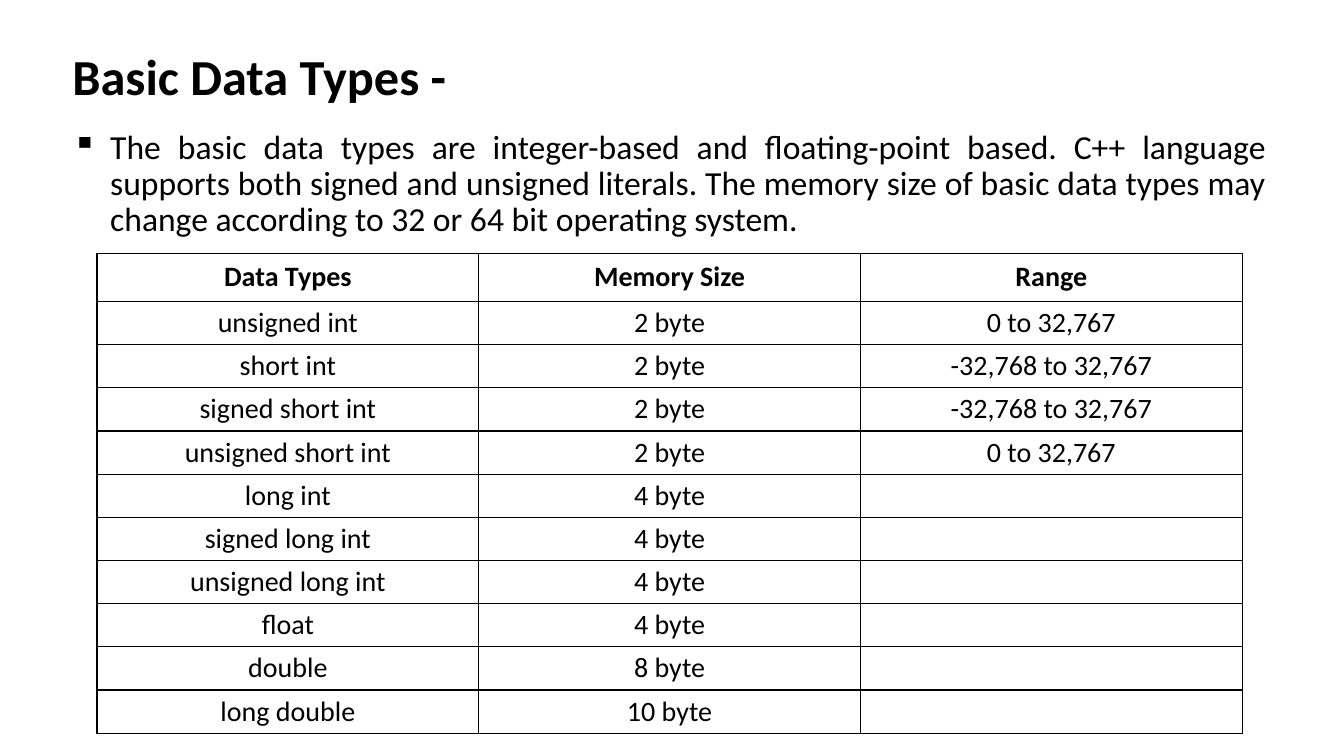
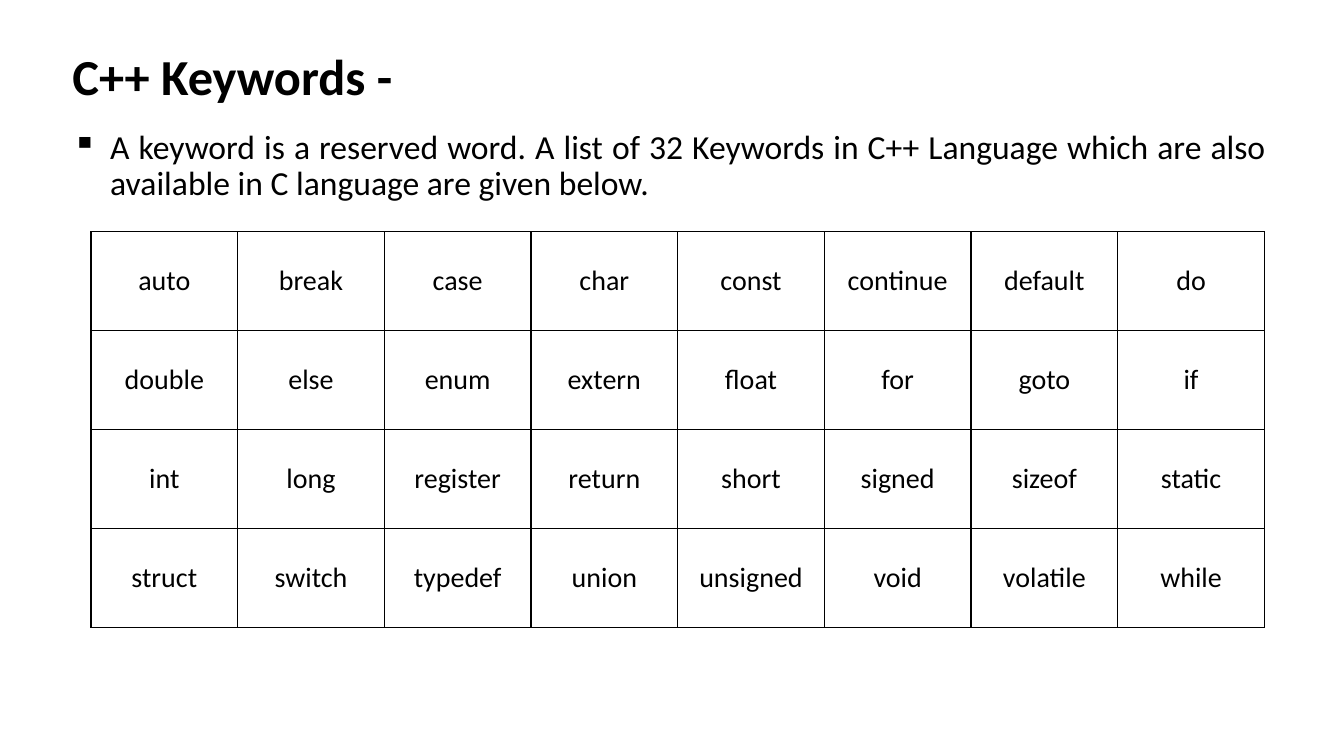
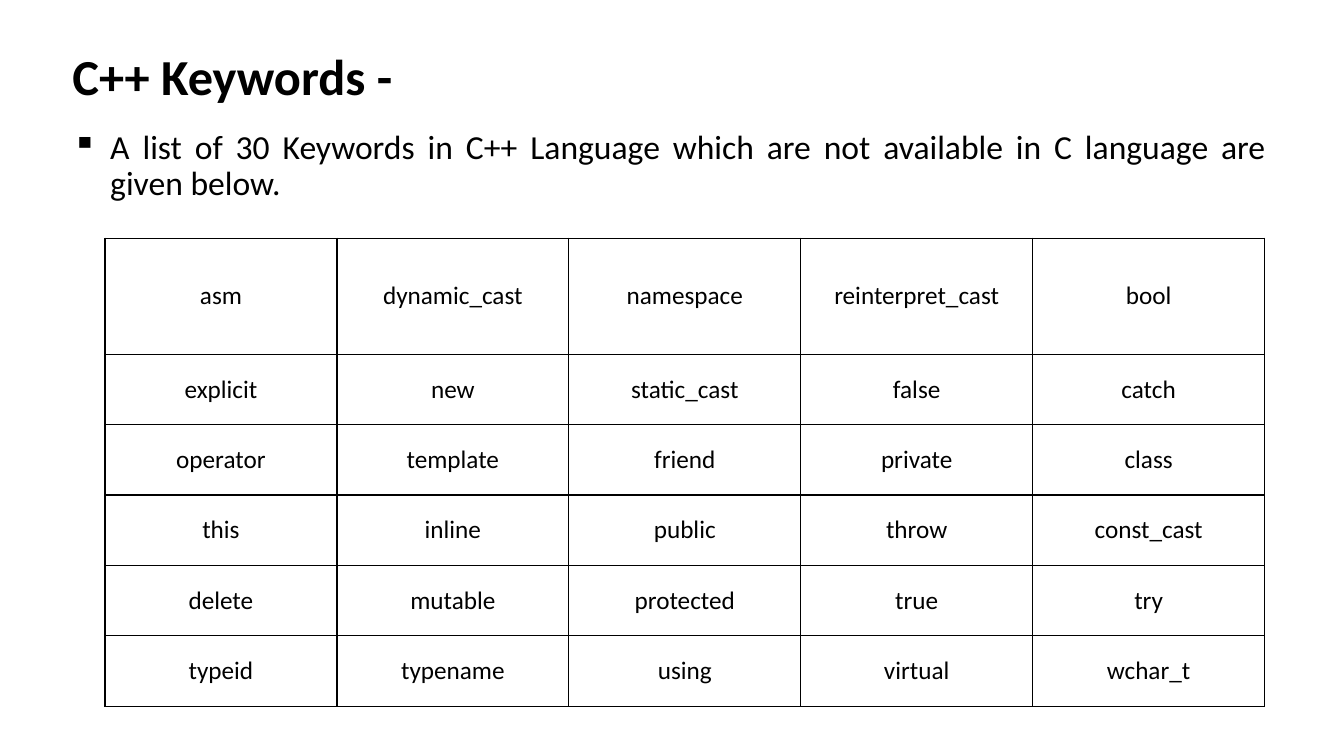
"""Build three slides on C++ data types and keywords."""
from dataclasses import dataclass
from typing import Any

from lxml.etree import SubElement
from pptx import Presentation
from pptx.dml.color import RGBColor
from pptx.enum.text import MSO_ANCHOR, PP_ALIGN
from pptx.oxml.ns import qn
from pptx.util import Pt

TOP, MIDDLE, BOTTOM = MSO_ANCHOR.TOP, MSO_ANCHOR.MIDDLE, MSO_ANCHOR.BOTTOM
LEFT, CENTER, JUSTIFY = PP_ALIGN.LEFT, PP_ALIGN.CENTER, PP_ALIGN.JUSTIFY

COLORS = {"ink": "000000", "page": "FFFFFF"}
FACE = "Calibri"
EDGE, SPAN = 44.64, 866.88
INDENT = 27
SIDES = ("left", "right", "top", "bottom")
TITLE = {"size": Pt(36), "bold": True}
BODY = {"size": Pt(24), "bold": False}
TIGHT = {"line_spacing": 0.9}


@dataclass(frozen=True)
class Grid:
    """Hold the place, row heights, style and words of a table."""
    left: float
    top: float
    width: float
    head: float
    row: float
    size: int
    inset: float
    cells: list[list[str]]
    bold: bool = False


@dataclass(frozen=True)
class Page:
    """Hold the words and table of one slide."""
    title: str
    text: str
    grid: Grid


TYPES = [
    ["Data Types", "Memory Size", "Range"],
    ["unsigned int", "2 byte", "0 to 32,767"],
    ["short int", "2 byte", "-32,768 to 32,767"],
    ["signed short int", "2 byte", "-32,768 to 32,767"],
    ["unsigned short int", "2 byte", "0 to 32,767"],
    ["long int", "4 byte", ""],
    ["signed long int", "4 byte", ""],
    ["unsigned long int", "4 byte", ""],
    ["float", "4 byte", ""],
    ["double", "8 byte", ""],
    ["long double", "10 byte", ""],
]
SHARED = [line.split() for line in (
    "auto break case char const continue default do",
    "double else enum extern float for goto if",
    "int long register return short signed sizeof static",
    "struct switch typedef union unsigned void volatile while",
)]
ADDED = [line.split() for line in (
    "asm dynamic_cast namespace reinterpret_cast bool",
    "explicit new static_cast false catch",
    "operator template friend private class",
    "this inline public throw const_cast",
    "delete mutable protected true try",
    "typeid typename using virtual wchar_t",
)]
PAGES = [
    Page("Basic Data Types -",
         "The basic data types are integer-based and floating-point based. "
         "C++ language supports both signed and unsigned literals. The memory "
         "size of basic data types may change according to 32 or 64 bit "
         "operating system.",
         Grid(69.3, 181, 818, 34.3, 30.86, 20, 3, TYPES, True)),
    Page("C++ Keywords -",
         "A keyword is a reserved word. A list of 32 Keywords in C++ Language "
         "which are also available in C language are given below.",
         Grid(65, 165.6, 838.2, 70.75, 70.75, 20, 5.76, SHARED)),
    Page("C++ Keywords -",
         "A list of 30 Keywords in C++ Language which are not available in C "
         "language are given below.",
         Grid(75, 170.2, 828.4, 82.8, 50.3, 18, 5.76, ADDED)),
]


def apply(item: Any, values: dict[str, Any]) -> None:
    """Set each named value on an object."""
    for name, value in values.items():
        setattr(item, name, value)


def write(para: Any, text: str, font: dict[str, Any], form: dict[str, Any]) -> None:
    """Fill a paragraph with styled text."""
    apply(para, form)
    target = para.font
    if text:
        run = para.add_run()
        run.text = text
        target = run.font
    apply(target, {"name": FACE, **font})
    target.color.rgb = RGBColor.from_string(COLORS["ink"])


def add_text(slide: Any, top: float, height: float, anchor: Any, text: str,
             font: dict[str, Any], form: dict[str, Any]) -> Any:
    """Add a full-width text box and return its paragraph."""
    box = slide.shapes.add_textbox(Pt(EDGE), Pt(top), Pt(SPAN), Pt(height))
    frame = box.text_frame
    apply(frame, {"word_wrap": True, "vertical_anchor": anchor})
    para = frame.paragraphs[0]
    write(para, text, font, {**TIGHT, **form})
    return para


def add_bullet(para: Any) -> None:
    """Give a paragraph a hanging square bullet."""
    props = para._p.get_or_add_pPr()
    props.set("marL", str(Pt(INDENT)))
    props.set("indent", str(-Pt(INDENT)))
    SubElement(props, qn("a:buChar"), char="▪")


def add_border(cell: Any) -> None:
    """Draw a thin line on all sides of a cell."""
    props = cell._tc.get_or_add_tcPr()
    for side in SIDES:
        line = SubElement(props, qn(f"a:ln{side[0].upper()}"), w=str(Pt(1)))
        fill = SubElement(line, qn("a:solidFill"))
        SubElement(fill, qn("a:srgbClr"), val=COLORS["ink"])


def add_grid(slide: Any, grid: Grid) -> None:
    """Add a table with equal columns."""
    rows, cols = len(grid.cells), len(grid.cells[0])
    height = grid.head + grid.row * (rows - 1)
    table = slide.shapes.add_table(rows, cols, Pt(grid.left), Pt(grid.top),
                                   Pt(grid.width), Pt(height)).table
    apply(table, {"first_row": False, "horz_banding": False})
    for col in table.columns:
        col.width = Pt(grid.width / cols)
    for r, words in enumerate(grid.cells):
        table.rows[r].height = Pt(grid.row if r else grid.head)
        bold = grid.bold and r == 0
        inset = Pt(4.9 if bold else grid.inset)
        for c, word in enumerate(words):
            cell = table.cell(r, c)
            apply(cell, {f"margin_{side}": inset for side in SIDES})
            cell.vertical_anchor = MIDDLE
            add_border(cell)
            cell.fill.background()
            write(cell.text_frame.paragraphs[0], word,
                  {"size": Pt(grid.size), "bold": bold}, {"alignment": CENTER})


def add_page(deck: Any, page: Page) -> None:
    """Add one slide with title, bullet and table."""
    slide = deck.slides.add_slide(deck.slide_layouts[6])
    back = slide.background.fill
    back.solid()
    back.fore_color.rgb = RGBColor.from_string(COLORS["page"])
    add_text(slide, 33.84, 46.08, BOTTOM, page.title, TITLE, {"alignment": LEFT})
    para = add_text(slide, 89.28, 397.44, TOP, page.text, BODY,
                    {"alignment": JUSTIFY, "space_before": Pt(10)})
    add_bullet(para)
    add_grid(slide, page.grid)


def main() -> None:
    """Build and save the deck."""
    deck = Presentation()
    apply(deck, {"slide_width": Pt(960), "slide_height": Pt(540)})
    for page in PAGES:
        add_page(deck, page)
    deck.save("out.pptx")


if __name__ == "__main__":
    main()
